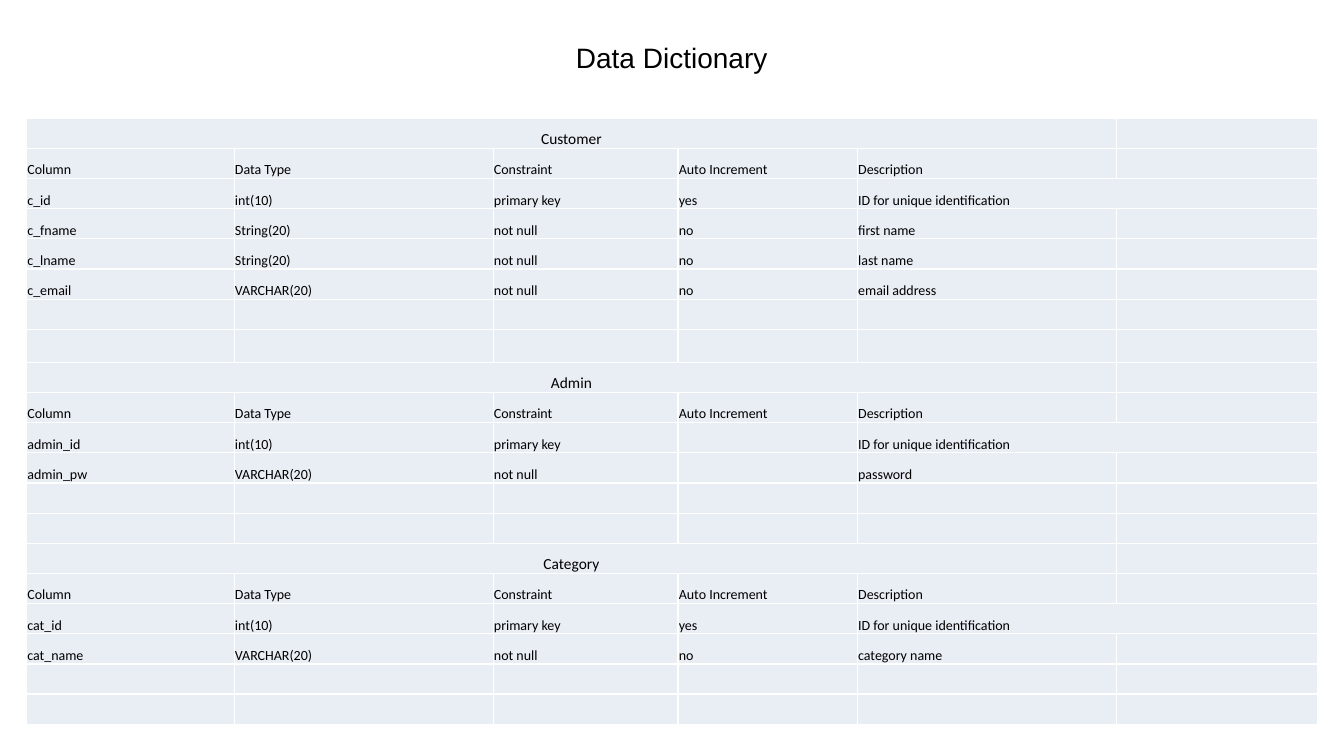
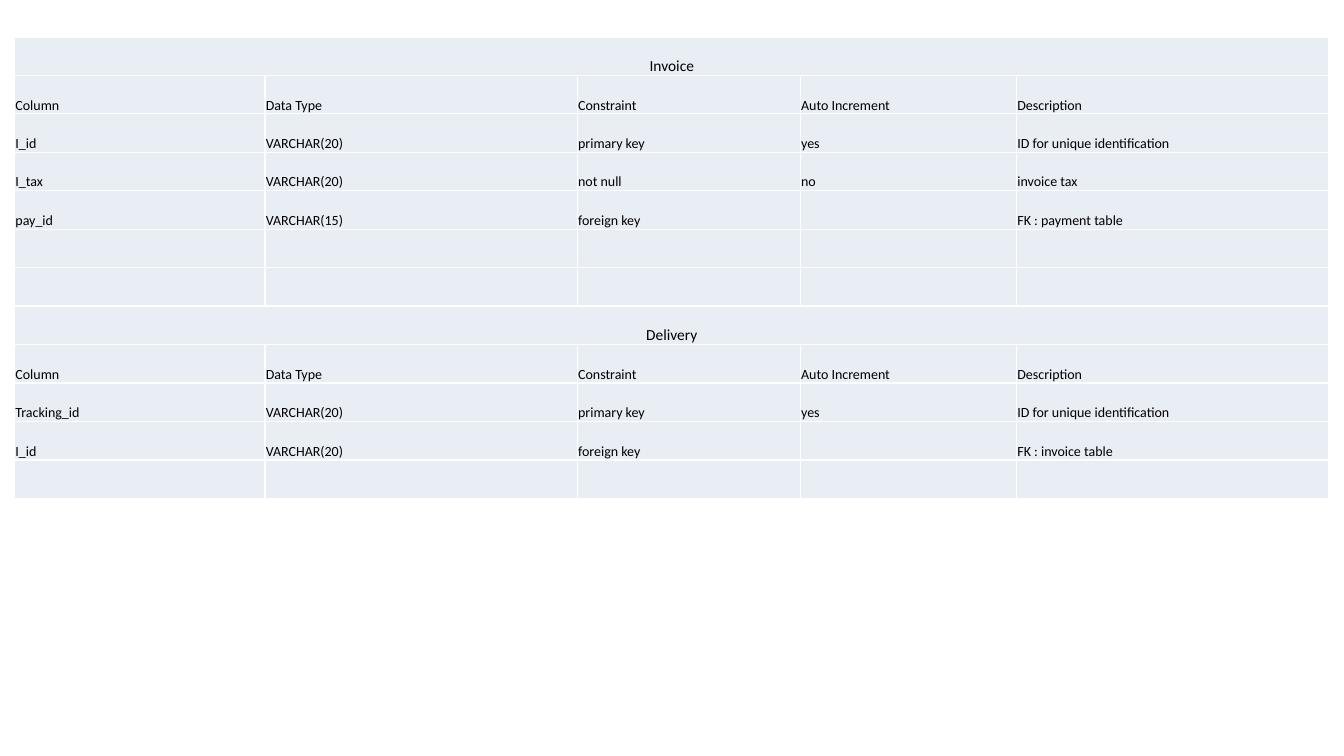
import dataclasses
import functools

import lxml.etree
import pptx
import pptx.dml.color
import pptx.enum.text
import pptx.oxml.ns
import pptx.util

Cm = pptx.util.Cm
Pt = pptx.util.Pt
qn = pptx.oxml.ns.qn
RGB = pptx.dml.color.RGBColor.from_string
Align = pptx.enum.text.PP_ALIGN
Anchor = pptx.enum.text.MSO_ANCHOR


@dataclasses.dataclass(frozen=True)
class Theme:
    ink: str = "000000"
    cell: str = "E9EDF4"
    rule: str = "FFFFFF"
    rule_width: int = 1
    title_font: str = "Arial"
    table_font: str = "Calibri"
    title_size: int = 20
    entity_size: int = 11
    field_size: int = 10
    inset: float = 0.02


@dataclasses.dataclass(frozen=True)
class Box:
    left: float
    top: float
    width: float
    height: float

    def lengths(self):
        return [Cm(side) for side in (self.left, self.top, self.width, self.height)]


@dataclasses.dataclass(frozen=True)
class Entity:
    name: str
    fields: tuple
    blank_rows: int


THEME = Theme()
HEADINGS = ("Column", "Data Type", "Constraint", "Auto Increment", "Description")
COLUMN_WEIGHTS = (6.31, 7.87, 5.62, 5.45, 7.87, 6.12)
UNIQUE_ID = "ID for unique identification"

PEOPLE_AND_CATEGORIES = (
    Entity("Customer", (
        ("c_id", "int(10)", "primary key", "yes", UNIQUE_ID),
        ("c_fname", "String(20)", "not null", "no", "first name"),
        ("c_lname", "String(20)", "not null", "no", "last name"),
        ("c_email", "VARCHAR(20)", "not null", "no", "email address"),
    ), 2),
    Entity("Admin", (
        ("admin_id", "int(10)", "primary key", "", UNIQUE_ID),
        ("admin_pw", "VARCHAR(20)", "not null", "", "password"),
    ), 2),
    Entity("Category", (
        ("cat_id", "int(10)", "primary key", "yes", UNIQUE_ID),
        ("cat_name", "VARCHAR(20)", "not null", "no", "category name"),
    ), 2),
)
ORDERS = (
    Entity("Invoice", (
        ("I_id", "VARCHAR(20)", "primary key", "yes", UNIQUE_ID),
        ("I_tax", "VARCHAR(20)", "not null", "no", "invoice tax"),
        ("pay_id", "VARCHAR(15)", "foreign key", "", "FK : payment table"),
    ), 2),
    Entity("Delivery", (
        ("Tracking_id", "VARCHAR(20)", "primary key", "yes", UNIQUE_ID),
        ("I_id", "VARCHAR(20)", "foreign key", "", "FK : invoice table"),
    ), 1),
)


def style_text(paragraph, font_name, size, align):
    paragraph.alignment = align
    paragraph.font.name = font_name
    paragraph.font.size = Pt(size)
    paragraph.font.color.rgb = RGB(THEME.ink)


def add_title(slide, box, wording):
    frame = slide.shapes.add_textbox(*box.lengths()).text_frame
    frame.word_wrap = True
    frame.auto_size = pptx.enum.text.MSO_AUTO_SIZE.SHAPE_TO_FIT_TEXT
    frame.text = wording
    style_text(frame.paragraphs[0], THEME.title_font, THEME.title_size, Align.CENTER)


def rule_cell(cell):
    properties = cell._tc.get_or_add_tcPr()
    for position, side in enumerate(("a:lnL", "a:lnR", "a:lnT", "a:lnB")):
        edge = lxml.etree.Element(qn(side), w=str(Pt(THEME.rule_width)))
        fill = lxml.etree.SubElement(edge, qn("a:solidFill"))
        lxml.etree.SubElement(fill, qn("a:srgbClr"), val=THEME.rule)
        properties.insert(position, edge)


def fill_cell(cell, wording, size, align):
    cell.fill.solid()
    cell.fill.fore_color.rgb = RGB(THEME.cell)
    rule_cell(cell)
    cell.vertical_anchor = Anchor.BOTTOM
    cell.margin_left = cell.margin_right = cell.margin_top = Cm(THEME.inset)
    cell.margin_bottom = 0
    if wording:
        cell.text = wording
    paragraph = cell.text_frame.paragraphs[0]
    style_text(paragraph, THEME.table_font, size, align)
    if not wording:
        lxml.etree.SubElement(paragraph._p, qn("a:endParaRPr"), sz=str(size * 100))


def entity_rows(entity):
    return [(entity.name,), HEADINGS, *entity.fields, *[("", "")] * entity.blank_rows]


def add_dictionary(slide, box, entities, column_count, extra_heights=None):
    extra_heights = extra_heights or {}
    lines = functools.reduce(lambda rows, entity: rows + entity_rows(entity), entities, [])
    weights = COLUMN_WEIGHTS[:column_count]
    row_height = (box.height - sum(extra_heights.values())) / len(lines)

    dictionary = slide.shapes.add_table(len(lines), column_count, *box.lengths()).table
    dictionary.first_row = dictionary.horz_banding = False
    for column, weight in zip(dictionary.columns, weights):
        column.width = Cm(box.width * weight / sum(weights))

    for index, line in enumerate(lines):
        dictionary.rows[index].height = Cm(row_height + extra_heights.get(index, 0))
        is_entity = len(line) == 1
        size = THEME.entity_size if is_entity else THEME.field_size
        align = Align.CENTER if is_entity else Align.LEFT
        for position in range(column_count):
            wording = line[position] if position < len(line) else ""
            fill_cell(dictionary.cell(index, position), wording, size, align)
        last = len(HEADINGS) - 1
        if is_entity:
            dictionary.cell(index, 0).merge(dictionary.cell(index, last))
        elif line[-1] == UNIQUE_ID and column_count > len(HEADINGS):
            dictionary.cell(index, last).merge(dictionary.cell(index, column_count - 1))


def main():
    deck = pptx.Presentation()
    deck.slide_width, deck.slide_height = Cm(33.87), Cm(19.05)
    blank = deck.slide_layouts[6]

    opening = deck.slides.add_slide(blank)
    add_dictionary(opening, Box(0.67, 2.98, 32.54, 15.27), PEOPLE_AND_CATEGORIES, 6, {7: 0.07})
    add_title(opening, Box(5.13, 0.89, 23.6, 1.12), "Data Dictionary")

    orders = deck.slides.add_slide(blank)
    add_dictionary(orders, Box(0.37, 0.93, 33.12, 11.63), ORDERS, 5)

    deck.save("out.pptx")


if __name__ == "__main__":
    main()
